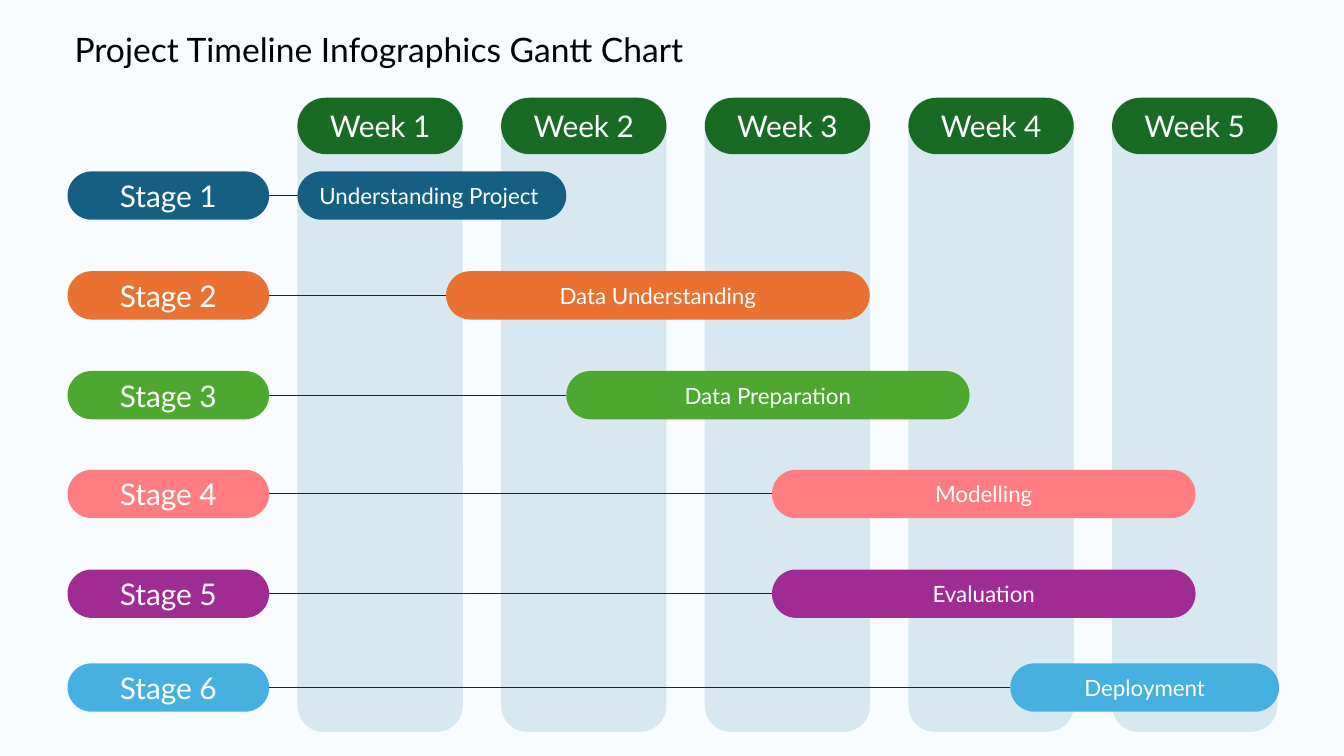
import lxml.etree
import pptx
import pptx.dml.color
import pptx.enum.shapes
import pptx.enum.text
import pptx.oxml.ns
import pptx.util

RGBColor = pptx.dml.color.RGBColor
BACKGROUND = RGBColor(0xF8, 0xFC, 0xFE)
WHITE = RGBColor(0xFF, 0xFF, 0xFF)
BLACK = RGBColor(0x00, 0x00, 0x00)
NAVY = RGBColor(0x0E, 0x28, 0x41)
PANEL_BLUE = RGBColor(0x02, 0x67, 0x96)
DARK_GREEN = RGBColor(0x19, 0x6B, 0x24)
TEAL = RGBColor(0x15, 0x60, 0x82)
ORANGE = RGBColor(0xE9, 0x71, 0x32)
GREEN = RGBColor(0x4E, 0xA7, 0x2E)
CORAL = RGBColor(0xFF, 0x7C, 0x80)
PURPLE = RGBColor(0xA0, 0x2B, 0x93)
SKY = RGBColor(0x46, 0xB1, 0xE1)

# Grid in inches: one column per week, one row per stage
FIRST_WEEK, WEEK_STEP, WEEK_WIDTH = 2.95, 2.02, 1.64
FIRST_STAGE, STAGE_STEP, BAR_HEIGHT = 1.7, 0.99, 0.48
HEADER_TOP, HEADER_HEIGHT, PANEL_HEIGHT = 0.97, 0.56, 6.29
STAGE_LEFT, STAGE_WIDTH = 0.67, 2
WEEK_COUNT = 5

# Task, colour, row, start and end in week columns
TASKS = [
    ("Understanding Project ", TEAL, 0, 0, 1.32),
    ("Data Understanding", ORANGE, 1, 0.73, 2.81),
    ("Data Preparation", GREEN, 2, 1.32, 3.3),
    ("Modelling", CORAL, 2.99, 2.33, 4.41),
    ("Evaluation", PURPLE, 3.99, 2.33, 4.41),
    ("Deployment", SKY, 4.93, 3.5, 4.82),
]


class GanttPage:
    font_name = "Lato"
    label_size = 21.3
    task_size = 16
    title_size = 24

    def __init__(self, deck):
        self.page = deck.slides.add_slide(deck.slide_layouts[6])
        self.page.background.fill.solid()
        self.page.background.fill.fore_color.rgb = BACKGROUND

    def week_left(self, column):
        return FIRST_WEEK + column * WEEK_STEP

    def stage_top(self, row):
        return FIRST_STAGE + row * STAGE_STEP

    def label(self, shape, text, size, color, alignment):
        frame = shape.text_frame
        frame.word_wrap = True
        frame.vertical_anchor = pptx.enum.text.MSO_ANCHOR.MIDDLE
        inset = pptx.util.Inches(0.13)
        frame.margin_left = frame.margin_right = inset
        frame.margin_top = frame.margin_bottom = inset
        frame.text = text
        para = frame.paragraphs[0]
        para.alignment = alignment
        para.font.name = self.font_name
        para.font.size = pptx.util.Pt(size)
        para.font.color.rgb = color
        return para

    def title(self, text):
        box = self.page.shapes.add_textbox(
            *map(pptx.util.Inches, (0.61, 0.24, 12, 0.54)))
        para = self.label(box, text, self.title_size, BLACK,
                          pptx.enum.text.PP_ALIGN.LEFT)
        para.line_spacing = 0.9

    def rounded(self, left, top, width, height, color, rounding=0.5):
        shape = self.page.shapes.add_shape(
            pptx.enum.shapes.MSO_SHAPE.ROUNDED_RECTANGLE,
            *map(pptx.util.Inches, (left, top, width, height)))
        shape.adjustments[0] = rounding
        shape.shadow.inherit = False
        shape.fill.solid()
        shape.fill.fore_color.rgb = color
        shape.line.fill.background()
        return shape

    def pill(self, left, top, width, height, color, text, size):
        shape = self.rounded(left, top, width, height, color)
        self.label(shape, text, size, WHITE, pptx.enum.text.PP_ALIGN.CENTER)

    def week(self, column):
        left = self.week_left(column)
        panel = self.rounded(left, HEADER_TOP, WEEK_WIDTH, PANEL_HEIGHT,
                             PANEL_BLUE, 0.158)
        # Panel opacity of 13 percent
        tint = panel._element.spPr.find(".//" + pptx.oxml.ns.qn("a:srgbClr"))
        lxml.etree.SubElement(tint, pptx.oxml.ns.qn("a:alpha"), val="13000")
        self.pill(left, HEADER_TOP, WEEK_WIDTH, HEADER_HEIGHT, DARK_GREEN,
                  f"Week {column + 1}", self.label_size)

    def stage(self, number, task, color, row, start, end):
        top = self.stage_top(row)
        left = self.week_left(start)
        self.pill(STAGE_LEFT, top, STAGE_WIDTH, BAR_HEIGHT, color,
                  f"Stage {number}", self.label_size)
        self.pill(left, top, (end - start) * WEEK_STEP, BAR_HEIGHT, color,
                  task, self.task_size)
        self.link(STAGE_LEFT + STAGE_WIDTH, left, top + BAR_HEIGHT / 2)

    def link(self, left, right, height):
        line = self.page.shapes.add_connector(
            pptx.enum.shapes.MSO_CONNECTOR.STRAIGHT,
            *map(pptx.util.Inches, (left, height, right, height)))
        line.line.color.rgb = NAVY
        line.line.width = pptx.util.Pt(0.75)
        lxml.etree.SubElement(line._element.spPr,
                              pptx.oxml.ns.qn("a:effectLst"))


def main():
    deck = pptx.Presentation()
    deck.slide_width = pptx.util.Inches(13.33)
    deck.slide_height = pptx.util.Inches(7.5)
    gantt = GanttPage(deck)

    # Week columns
    for column in range(WEEK_COUNT):
        gantt.week(column)

    # Title
    gantt.title("Project Timeline Infographics Gantt Chart")

    # Stages with their task bars
    for number, task in enumerate(TASKS, start=1):
        gantt.stage(number, *task)

    deck.save("out.pptx")


if __name__ == "__main__":
    main()
